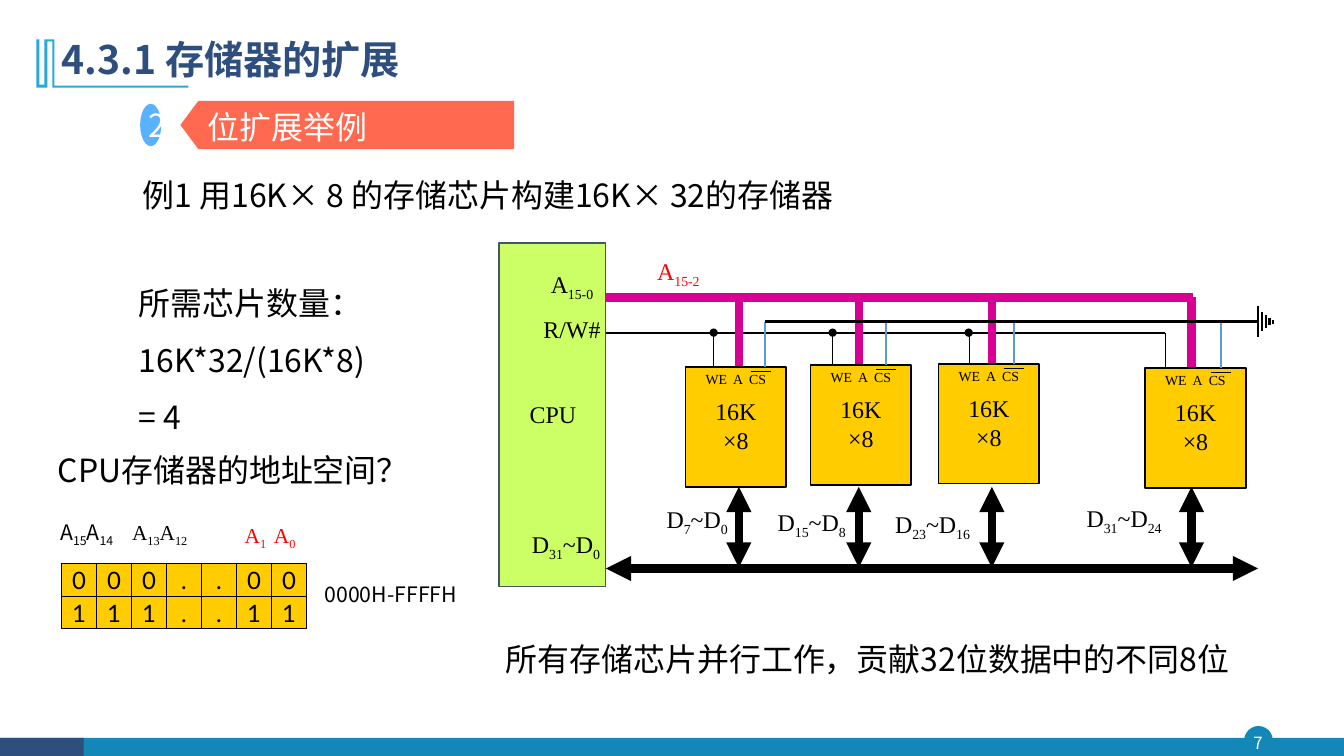
from dataclasses import dataclass

import pptx
import pptx.dml.color
import pptx.enum.shapes
import pptx.enum.text
import pptx.oxml.ns
import pptx.util
from lxml import etree

RGB = pptx.dml.color.RGBColor
SHAPE = pptx.enum.shapes.MSO_SHAPE
ALIGN = pptx.enum.text.PP_ALIGN
ANCHOR = pptx.enum.text.MSO_ANCHOR
qn = pptx.oxml.ns.qn

WHITE, BLACK, RED = RGB(255, 255, 255), RGB(0, 0, 0), RGB(255, 0, 0)
TEAL, NAVY, CYAN = RGB(0x13, 0x87, 0xB7), RGB(0x2E, 0x4E, 0x7E), RGB(0x28, 0xA9, 0xD6)
SKY, CORAL, SLATE = RGB(0x59, 0xB2, 0xFF), RGB(0xFF, 0x69, 0x50), RGB(0x44, 0x54, 0x6A)
LIME, AMBER = RGB(0xCC, 0xFF, 0x66), RGB(0xFF, 0xCC, 0x00)
MAGENTA, BLUE = RGB(0xD6, 0x00, 0x93), RGB(0x5B, 0x9B, 0xD5)
SANS, SERIF, DIGIT = "Noto Sans CJK SC", "Times New Roman", "Lato"
BODY, LABEL, SMALL = 22.8, 17.1, 15.2

# The slide is a grid of square cells, 133.33 columns by 75 rows
COLUMNS, ROWS = 133.33, 75


def cells(count):
    return pptx.util.Inches(count / 10)


@dataclass
class Box:
    left: float
    top: float
    width: float
    height: float

    def inside(self, left, top, width, height):
        return Box(self.left + left, self.top + top, width, height)

    def lengths(self):
        return [cells(n) for n in (self.left, self.top, self.width, self.height)]


def set_text(shape, text, size=BODY, font=SANS, color=BLACK, bold=None, align=ALIGN.LEFT,
             anchor=ANCHOR.TOP, insets=(1, 0.5), wrap=True, spacing=None, raised=()):
    """Lines become paragraphs; between bars lies a subscript; raised lines are superscript."""
    frame = shape.text_frame
    frame.word_wrap = wrap
    frame.auto_size = pptx.enum.text.MSO_AUTO_SIZE.NONE
    frame.vertical_anchor = anchor
    frame.margin_left = frame.margin_right = cells(insets[0])
    frame.margin_top = frame.margin_bottom = cells(insets[1])
    for row, line in enumerate(text.split("\n")):
        paragraph = frame.add_paragraph() if row else frame.paragraphs[0]
        paragraph.alignment = align
        paragraph.line_spacing = spacing
        for index, piece in enumerate(line.split("|")):
            if not piece:
                continue
            run = paragraph.add_run()
            run.text = piece
            run.font.size, run.font.name, run.font.bold = pptx.util.Pt(size), font, bold
            run.font.color.rgb = color
            properties = run.font._element
            etree.SubElement(properties, qn("a:ea")).set("typeface", font)
            if index % 2 or row in raised:
                properties.set("baseline", "-25000" if index % 2 else "30000")


def add_text(slide, box, text, **form):
    set_text(slide.shapes.add_textbox(*box.lengths()), text, **form)


def paint(shape, fill, line=None, weight=1):
    shape.shadow.inherit = False
    shape.fill.solid()
    shape.fill.fore_color.rgb = fill
    if line is None:
        shape.line.fill.background()
    else:
        shape.line.color.rgb = line
        shape.line.width = pptx.util.Pt(weight)
    return shape


def add_shape(slide, box, fill, kind=SHAPE.RECTANGLE, **outline):
    return paint(slide.shapes.add_shape(kind, *box.lengths()), fill, **outline)


def add_line(slide, box, start, end, color=BLACK, weight=1.5, head=None, tail=None):
    points = [cells(n) for x, y in (start, end) for n in (box.left + x, box.top + y)]
    line = slide.shapes.add_connector(pptx.enum.shapes.MSO_CONNECTOR.STRAIGHT, *points)
    line.line.color.rgb = color
    line.line.width = pptx.util.Pt(weight)
    for tag, kind in (("a:headEnd", head), ("a:tailEnd", tail)):
        if kind:
            etree.SubElement(line.line._get_or_add_ln(), qn(tag)).set("type", kind)
    etree.SubElement(line._element.spPr, qn("a:effectLst"))


def add_footer(slide, box):
    badge = box.inside(123.5, -1.1, 2.7, 2.7)
    add_shape(slide, badge, TEAL, SHAPE.OVAL, line=TEAL)
    add_shape(slide, box, TEAL)
    add_shape(slide, box.inside(0, 0, 8.3, box.height), NAVY)
    add_text(slide, box.inside(123.2, -1.1, 3.2, 3.1), "7", size=12, color=WHITE,
             align=ALIGN.CENTER, anchor=ANCHOR.MIDDLE, insets=(0, 0))


def add_title(slide, box):
    # Bracket ornament beside the title
    outline = [(0.3, 1.2), (0.3, 5.8), (13.6, 5.8), (13.6, 6), (0.1, 6), (0.1, 1.4), (-0.4, 1.4),
               (-0.4, 6), (-1.5, 6), (-1.5, 1.2), (-1.2, 1.2), (-1.2, 5.7), (-0.7, 5.7),
               (-0.7, 1.2)]
    points = [(cells(box.left + x), cells(box.top + y)) for x, y in outline]
    builder = slide.shapes.build_freeform(*points[0], scale=1.0)
    builder.add_line_segments(points[1:], close=True)
    paint(builder.convert_to_shape(), CYAN)
    title = slide.shapes.title
    title.left, title.top, title.width, title.height = box.lengths()
    set_text(title, "4.3.1 存储器的扩展", size=28, color=NAVY, bold=True,
             anchor=ANCHOR.MIDDLE, spacing=0.9)


def add_heading(slide, box):
    number = add_shape(slide, box.inside(0, 0.3, 2.1, 4.2), SKY, SHAPE.OVAL)
    set_text(number, "2", color=WHITE, align=ALIGN.CENTER, anchor=ANCHOR.MIDDLE)
    banner = add_shape(slide, box.inside(4, 0, 33.1, 4.8), CORAL, SHAPE.PENTAGON)
    banner.adjustments[0] = 0.37
    banner._element.spPr.get_or_add_xfrm().set("flipH", "1")
    add_text(slide, box.inside(5.7, 0.2, 31.3, 4.8), "位扩展举例", color=WHITE)


def add_diagram(slide, box):
    label = dict(size=LABEL, font=SERIF, insets=(0.1, 0.1))
    centred = dict(label, align=ALIGN.CENTER)
    arrows = dict(weight=6, head="triangle", tail="triangle")
    address_y, ground_y, write_y, data_y = 5.4, 7.8, 8.9, 32.3
    cpu = box.inside(0, 0, 10.6, box.height)

    # Chip corner, then the columns of its write, address and select wires
    chips = [(18.5, 12.3, 21.3, 23.8, 26.4), (30.9, 12.1, 33.1, 35.7, 38.4),
             (43.6, 12, 46.6, 48.9, 51.1), (64.1, 12.4, 66.1, 68.7, 71.6)]
    data_labels = [(13.5, 25.9, 9.3, "D|7|~D|0", ALIGN.RIGHT),
                   (23, 26.2, 11.5, "D|15|~D|8", ALIGN.RIGHT),
                   (39.2, 26.4, 10, "D|23|~D|16", ALIGN.LEFT),
                   (58.2, 25.8, 10.8, "D|31|~D|24", ALIGN.LEFT)]

    # Buses
    write_end, address_end = chips[-1][2], chips[-1][3]
    add_line(slide, box, (cpu.width, write_y), (write_end, write_y))
    add_line(slide, box, (10, address_y), (address_end + 0.2, address_y), MAGENTA, 6)
    add_line(slide, box, (cpu.width, data_y), (75.3, data_y), **arrows)

    # Processor and its pins
    add_shape(slide, cpu, LIME, line=SLATE)
    for left, top, text in [(2.6, 2.5, "A|15-0"), (2.6, 7, "R/W#"),
                            (0.7, 15.4, "CPU"), (2, 28.3, "D|31|~D|0")]:
        add_text(slide, cpu.inside(left, top, 9.3, 4.5), text, **centred)
    add_text(slide, box.inside(13.2, 1.3, 9.2, 4.5), "A|15-2", color=RED, **centred)

    # Chips with their wires
    for left, top, write_x, address_x, select_x in chips:
        add_line(slide, box, (write_x, top + 0.2), (write_x, write_y),
                 weight=0.25 if left == chips[2][0] else 1,
                 tail=None if write_x == write_end else "oval")
        add_line(slide, box, (address_x, address_y), (address_x, 12.3), MAGENTA, 6)
        add_line(slide, box, (address_x, 24.2), (address_x, data_y - 0.1), **arrows)
        chip = add_shape(slide, box.inside(left, top, 10, 11.9), AMBER, line=BLACK)
        set_text(chip, "WE  A  CS\n16K\n×8", raised=(0,), **centred)
        add_line(slide, box, (left + 6.5, top + 0.4), (left + 8.5, top + 0.4), weight=0.5)
        add_line(slide, box, (select_x, ground_y), (select_x, top), BLUE)
    for left, top, width, text, align in data_labels:
        add_text(slide, box.inside(left, top, width, 4.6), text, align=align, **label)

    # Ground
    add_line(slide, box, (chips[0][4], ground_y), (75.3, ground_y))
    for step, half in enumerate((1.5, 0.9, 0.6, 0.35, 0.2)):
        x = 75.3 + 0.38 * step
        add_line(slide, box, (x, ground_y - half), (x, ground_y + half))


def add_address_space(slide, box):
    add_text(slide, box.inside(-2.4, -11.7, 38.9, 4.8), "CPU存储器的地址空间？",
             align=ALIGN.CENTER)
    for left, top, width, text, font, color in [
            (-3.6, -4.4, 12.2, "A|15|A|14", SANS, BLACK),
            (6.4, -4.4, 6.7, "A|13|A|12", SERIF, BLACK),
            (15.9, -4.1, 6.7, "A|1", SERIF, RED), (18.8, -4.1, 6.7, "A|0", SERIF, RED)]:
        add_text(slide, box.inside(left, top, width, 2.4), text, size=SMALL, font=font,
                 color=color, align=ALIGN.CENTER, insets=(0, 0))
    bits = ("000..00", "111..11")
    width, height = box.width / len(bits[0]), box.height / len(bits)
    for row, line in enumerate(bits):
        for column, bit in enumerate(line):
            cell = add_shape(slide, box.inside(column * width, row * height, width, height),
                             AMBER, line=BLACK, weight=0.75)
            set_text(cell, bit, size=LABEL, font=DIGIT, align=ALIGN.CENTER,
                     anchor=ANCHOR.MIDDLE, wrap=False)
    add_text(slide, box.inside(25.1, 1.3, 19.6, 3.6), "0000H-FFFFH", size=SMALL)


def main():
    presentation = pptx.Presentation()
    presentation.slide_width, presentation.slide_height = cells(COLUMNS), cells(ROWS)
    slide = presentation.slides.add_slide(presentation.slide_layouts[5])
    add_footer(slide, Box(0, 73.2, COLUMNS, 1.8))
    add_title(slide, Box(5.1, 2.7, 72.3, 6.8))
    add_heading(slide, Box(13.9, 10, 37.1, 4.8))
    add_text(slide, Box(13.2, 16.9, 81.7, 4.8), "例1 用16K× 8 的存储芯片构建16K× 32的存储器")
    add_text(slide, Box(12.8, 25.7, 26, 17.6), "所需芯片数量：\n16K*32/(16K*8)\n= 4", spacing=1.5)
    add_diagram(slide, Box(49.5, 24.1, 77, 34.1))
    add_address_space(slide, Box(6.1, 55.9, 24.3, 6.5))
    add_text(slide, Box(49.2, 63, 76.6, 4.8), "所有存储芯片并行工作，贡献32位数据中的不同8位")
    presentation.save("out.pptx")


if __name__ == "__main__":
    main()
